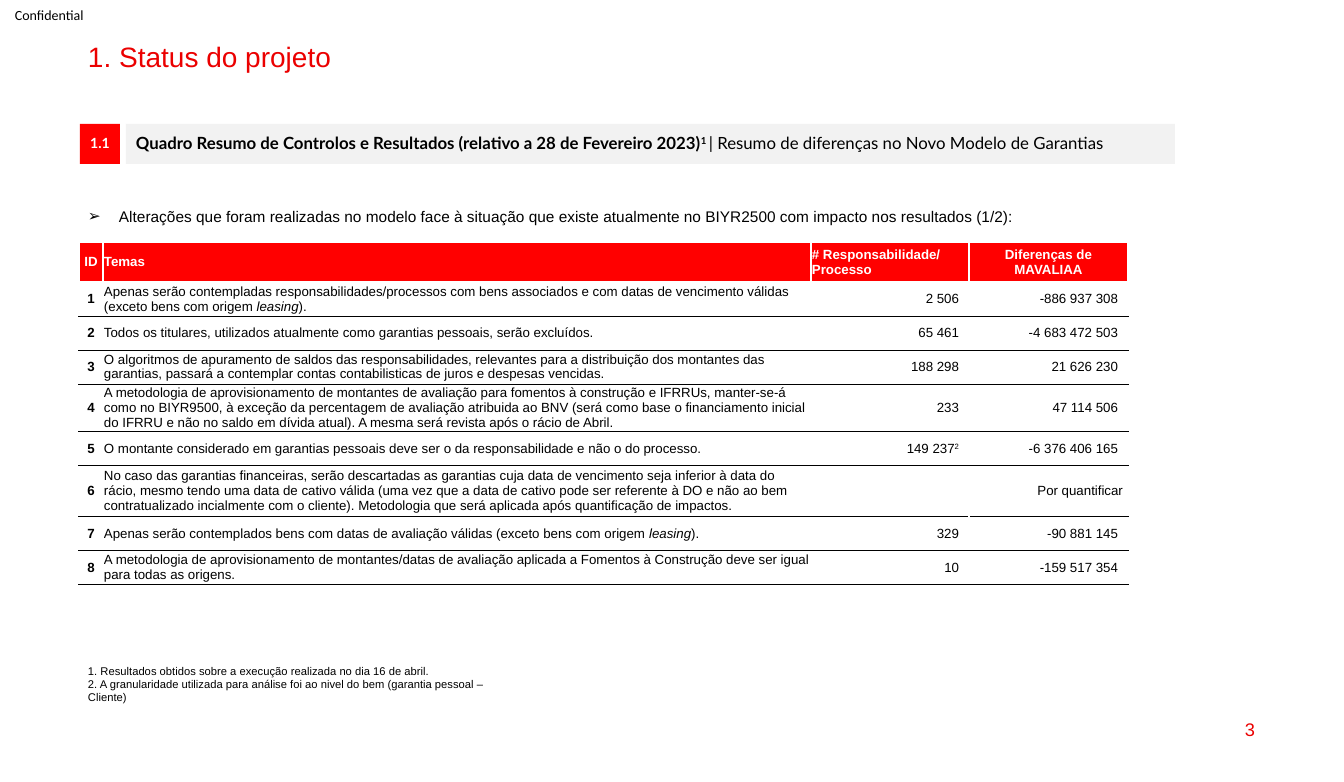
from lxml import etree
from pptx import Presentation
from pptx.dml.color import RGBColor
from pptx.enum.shapes import MSO_SHAPE
from pptx.enum.text import MSO_ANCHOR, PP_ALIGN
from pptx.oxml.ns import qn
from pptx.util import Emu, Pt

EMU_PER_PX = 914400 / 100.8
LEFT, CENTER, RIGHT = PP_ALIGN.LEFT, PP_ALIGN.CENTER, PP_ALIGN.RIGHT
TOP, MIDDLE = MSO_ANCHOR.TOP, MSO_ANCHOR.MIDDLE
RECTANGLE = MSO_SHAPE.RECTANGLE
RED, TITLE_RED, GREY, BLACK, WHITE = "FF0000", "EB0000", "F2F2F2", "000000", "FFFFFF"

COLUMN_WIDTHS = [24, 708, 158, 159]
COLUMN_ALIGNMENTS = [CENTER, LEFT, RIGHT, RIGHT]
ROW_HEIGHTS = [40, 34, 34, 34, 46, 34, 51, 34, 34]
HEADERS = ["ID", "Temas", "# Responsabilidade/ Processo", "Diferenças de MAVALIAA"]
HEADER_ALIGNMENTS = [CENTER, LEFT, LEFT, CENTER]
PENDING = "Por quantificar"
THEMES = [
    ([("Apenas serão contempladas responsabilidades/processos com bens associados e com datas de "
       "vencimento válidas (exceto bens com origem ", ""), ("leasing", "i"), (").", "")],
     "2 506", "-886 937 308"),
    ("Todos os titulares, utilizados atualmente como garantias pessoais, serão excluídos.",
     "65 461", "-4 683 472 503"),
    ("O algoritmos de apuramento de saldos das responsabilidades, relevantes para a distribuição "
     "dos montantes das garantias, passará a contemplar contas contabilisticas de juros e "
     "despesas vencidas.", "188 298", "21 626 230"),
    ("A metodologia de aprovisionamento de montantes de avaliação para fomentos à construção e "
     "IFRRUs, manter-se-á como no BIYR9500, à exceção da percentagem de avaliação atribuida ao "
     "BNV (será como base o financiamento inicial do IFRRU e não no saldo em dívida atual). "
     "A mesma será revista após o rácio de Abril.", "233", "47 114 506"),
    ("O montante considerado em garantias pessoais deve ser o da responsabilidade e não o do "
     "processo.", [("149 237", ""), ("2", "s")], "-6 376 406 165"),
    ("No caso das garantias financeiras, serão descartadas as garantias cuja data de vencimento "
     "seja inferior à data do rácio, mesmo tendo uma data de cativo válida (uma vez que a data de "
     "cativo pode ser referente à DO e não ao bem contratualizado incialmente com o cliente). "
     "Metodologia que será aplicada após quantificação de impactos.", PENDING, ""),
    ([("Apenas serão contemplados bens com datas de avaliação válidas (exceto bens com origem ", ""),
      ("leasing", "i"), (").", "")], "329", "-90 881 145"),
    ("A metodologia de aprovisionamento de montantes/datas de avaliação aplicada a Fomentos à "
     "Construção deve ser igual para todas as origens.", "10", "-159 517 354"),
]


def px(length):
    """Turn pixels into EMU."""
    return Emu(round(length * EMU_PER_PX))


def color(hex_code):
    """Turn a hex string into a colour."""
    return RGBColor.from_string(hex_code)


def write(paragraph, content, size, hex_code=BLACK, font="Arial", alignment=LEFT, bold=False):
    """Write a string or a list of (text, style) runs; styles are b, i and s for superscript."""
    runs = [(content, "b" if bold else "")] if isinstance(content, str) else content
    paragraph.alignment = alignment
    for text, style in runs:
        run = paragraph.add_run()
        run.text = text
        run.font.size = Pt(size)
        run.font.name = font
        run.font.color.rgb = color(hex_code)
        run.font.bold = "b" in style
        run.font.italic = "i" in style
        if "s" in style:
            run.font._element.set("baseline", "30000")


def set_frame(frame, insets, anchor):
    """Set wrapping, the left, top, right and bottom insets and the anchor."""
    frame.word_wrap = True
    frame.margin_left, frame.margin_top, frame.margin_right, frame.margin_bottom = map(px, insets)
    frame.vertical_anchor = anchor


def add_text(slide, box, insets=(10, 5, 10, 5), anchor=TOP):
    """Add a text box and return its frame."""
    frame = slide.shapes.add_textbox(*map(px, box)).text_frame
    set_frame(frame, insets, anchor)
    return frame


def add_bar(slide, box, fill, content, side_inset, **style):
    """Add a filled rectangle with one line of text."""
    shape = slide.shapes.add_shape(RECTANGLE, *map(px, box))
    shape.shadow.inherit = False
    shape.fill.solid()
    shape.fill.fore_color.rgb = color(fill)
    shape.line.fill.background()
    set_frame(shape.text_frame, (side_inset, 5, side_inset, 5), MIDDLE)
    paragraph = shape.text_frame.paragraphs[0]
    paragraph.line_spacing = 0.9
    write(paragraph, content, font="Lato", **style)


def add_section_heading(slide, left, top, width, height):
    """Add the numbered square and the grey heading bar beside it."""
    gap = 6
    add_bar(slide, (left, top, height, height), RED, "1.1", 0,
            size=10, hex_code=WHITE, alignment=CENTER, bold=True)
    heading = [("Quadro Resumo de Controlos e Resultados (relativo a 28 de Fevereiro 2023)", "b"),
               ("1 ", "bs"), ("| Resumo de diferenças no Novo Modelo de Garantias", "")]
    add_bar(slide, (left + height + gap, top, width - height - gap, height), GREY, heading, 10,
            size=12)


def add_lead(slide, box):
    """Add the bulleted sentence above the table."""
    paragraph = add_text(slide, box).paragraphs[0]
    properties = paragraph._p.get_or_add_pPr()
    properties.set("marL", str(px(31)))
    properties.set("indent", str(-px(31)))
    etree.SubElement(properties, qn("a:buFont")).set("typeface", "Arial")
    etree.SubElement(properties, qn("a:buChar")).set("char", "➢")
    write(paragraph, "Alterações que foram realizadas no modelo face à situação que existe atualmente "
          "no BIYR2500 com impacto nos resultados (1/2):", 11)


def set_borders(cell, top, bottom):
    """Give a cell white sides and the given (colour, points) top and bottom lines."""
    side = (WHITE, 1)
    properties = cell._tc.get_or_add_tcPr()
    borders = [("lnL", side), ("lnR", side), ("lnT", top), ("lnB", bottom)]
    for index, (tag, (hex_code, points)) in enumerate(borders):
        line = etree.Element(qn(f"a:{tag}"), w=str(Pt(points)))
        fill = etree.SubElement(line, qn("a:solidFill"))
        etree.SubElement(fill, qn("a:srgbClr")).set("val", hex_code)
        properties.insert(index, line)


def fill_cell(cell, content, alignment, header, bold, right_inset):
    """Write one table cell and set its fill and insets."""
    cell.margin_left, cell.margin_top, cell.margin_bottom = px(1), 0, 0
    cell.margin_right = px(right_inset)
    cell.vertical_anchor = MIDDLE
    if header:
        cell.fill.solid()
        cell.fill.fore_color.rgb = color(RED)
    else:
        cell.fill.background()
    write(cell.text_frame.paragraphs[0], content, 9.5, WHITE if header else BLACK,
          alignment=alignment, bold=bold)


def add_themes_table(slide, left, top):
    """Add the table of themes and their effects."""
    rows = [HEADERS] + [(str(number), *theme) for number, theme in enumerate(THEMES, 1)]
    box = (left, top, sum(COLUMN_WIDTHS), sum(ROW_HEIGHTS))
    table = slide.shapes.add_table(len(rows), len(HEADERS), *map(px, box)).table
    table.horz_banding = False
    for column, width in zip(table.columns, COLUMN_WIDTHS):
        column.width = px(width)
    for row_index, row in enumerate(rows):
        table.rows[row_index].height = px(ROW_HEIGHTS[row_index])
        header = row_index == 0
        pending = row[2] == PENDING
        if pending:
            table.cell(row_index, 2).merge(table.cell(row_index, 3))
        alignments = HEADER_ALIGNMENTS if header else COLUMN_ALIGNMENTS
        for column_index, content in enumerate(row):
            cell = table.cell(row_index, column_index)
            number = not header and column_index > 1
            right_inset = (5 if pending else 10) if number else 1
            fill_cell(cell, content, alignments[column_index], header,
                      header or column_index == 0, right_inset)
            set_borders(cell, (WHITE, 1) if row_index < 2 else (BLACK, 0.5),
                        (WHITE, 1) if header else (BLACK, 0.5))


def add_footnotes(slide, box):
    """Add the two notes below the table."""
    frame = add_text(slide, box, (10, 0, 10, 0))
    write(frame.paragraphs[0], "1. Resultados obtidos sobre a execução realizada no dia 16 de abril.", 8)
    write(frame.add_paragraph(), "2. A granularidade utilizada para análise foi ao nivel do bem "
          "(garantia pessoal – Cliente)", 8)


def build_status_slide(slide):
    """Place every region of the project status slide."""
    label = add_text(slide, (0, 0, 100, 29), (15, 0, 0, 0), MIDDLE)
    write(label.paragraphs[0], "Confidential", 10, font="Calibri")
    title = add_text(slide, (78, 38, 1186, 34)).paragraphs[0]
    title.line_spacing = 0.9
    write(title, "1. Status do projeto", 20, TITLE_RED)
    add_section_heading(slide, 80, 124, 1095, 40)
    add_lead(slide, (78, 202, 1097, 29))
    add_themes_table(slide, 79, 242)
    add_footnotes(slide, (78, 664, 436, 50))
    page = add_text(slide, (963, 709, 302, 41), anchor=MIDDLE)
    write(page.paragraphs[0], "3", 13, TITLE_RED, alignment=RIGHT)


def main():
    """Build and save the presentation."""
    presentation = Presentation()
    presentation.slide_width, presentation.slide_height = px(1344), px(782)
    build_status_slide(presentation.slides.add_slide(presentation.slide_layouts[6]))
    presentation.save("out.pptx")


if __name__ == "__main__":
    main()
